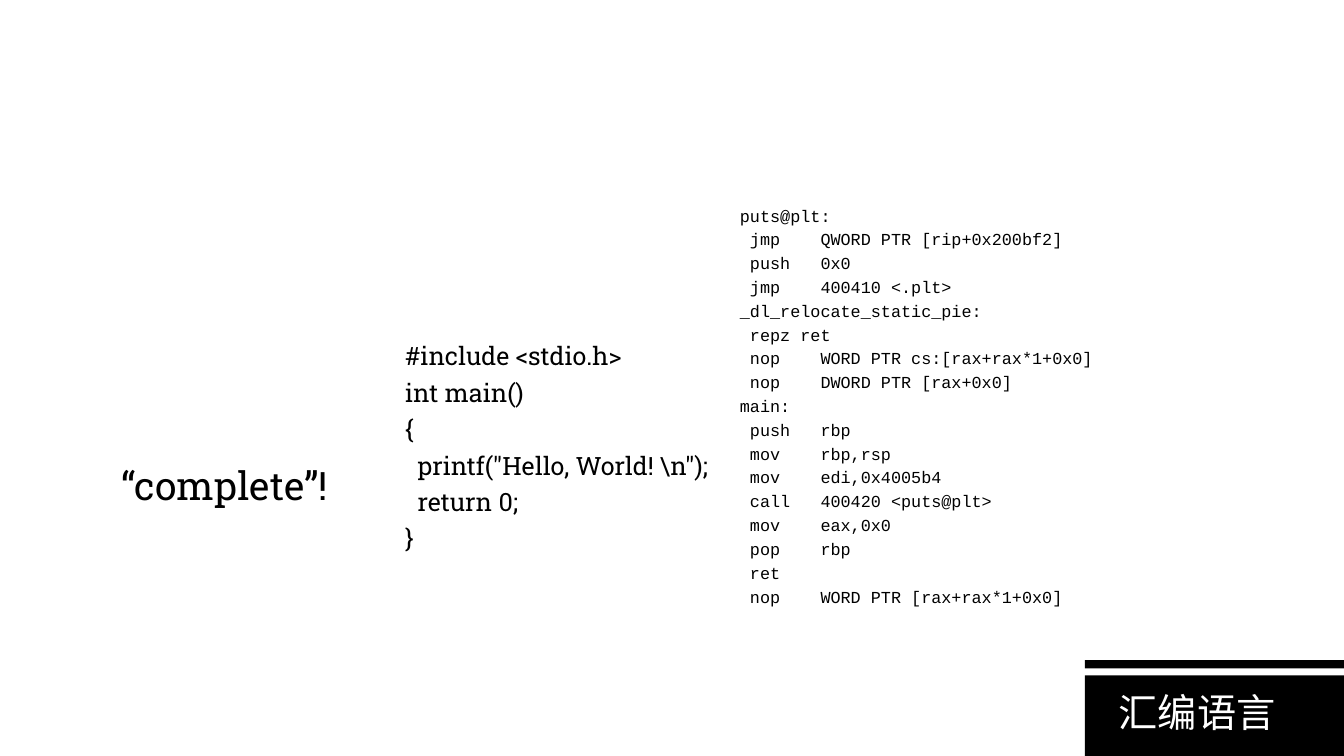
from dataclasses import dataclass

from pptx import Presentation
from pptx.dml.color import RGBColor
from pptx.enum.shapes import MSO_SHAPE
from pptx.enum.text import MSO_ANCHOR, MSO_AUTO_SIZE, PP_ALIGN
from pptx.shapes.base import BaseShape
from pptx.slide import Slide
from pptx.util import Emu, Length, Pt

RECTANGLE = MSO_SHAPE.RECTANGLE
TOP, MIDDLE = MSO_ANCHOR.TOP, MSO_ANCHOR.MIDDLE
LEFT, RIGHT = PP_ALIGN.LEFT, PP_ALIGN.RIGHT
NO_AUTOFIT = MSO_AUTO_SIZE.NONE
EMU_PER_PX = 9144
TITLE_ONLY = 5


@dataclass(frozen=True)
class Theme:
    ink: RGBColor = RGBColor(0, 0, 0)
    paper: RGBColor = RGBColor(255, 255, 255)
    text_font: str = "Roboto Slab"
    code_font: str = "Courier New"
    heading: Length = Pt(28)
    source: Length = Pt(18)
    assembly: Length = Pt(12)
    paragraph_gap: Length = Pt(10)


THEME = Theme()


@dataclass(frozen=True)
class Box:
    left: int
    top: int
    width: int
    height: int


@dataclass(frozen=True)
class TextBlock:
    box: Box
    text: str
    size: Length
    line_spacing: float | Length
    font: str = THEME.text_font
    color: RGBColor = THEME.ink
    alignment: PP_ALIGN = LEFT
    anchor: MSO_ANCHOR = TOP


C_SOURCE = r"""#include <stdio.h>
int main()
{
  printf("Hello, World! \n");
  return 0;
}"""

ASSEMBLY = """puts@plt:
 jmp    QWORD PTR [rip+0x200bf2]
 push   0x0
 jmp    400410 <.plt>
_dl_relocate_static_pie:
 repz ret
 nop    WORD PTR cs:[rax+rax*1+0x0]
 nop    DWORD PTR [rax+0x0]
main:
 push   rbp
 mov    rbp,rsp
 mov    edi,0x4005b4
 call   400420 <puts@plt>
 mov    eax,0x0
 pop    rbp
 ret
 nop    WORD PTR [rax+rax*1+0x0]"""

SLIDE = Box(0, 0, 1333, 750)
BARS = (Box(1076, 670, 257, 80), Box(1076, 655, 257, 8))
TITLE = TextBlock(Box(310, 684, 965, 50), "汇编语言", THEME.heading, 0.9,
                  color=THEME.paper, alignment=RIGHT, anchor=MIDDLE)
BLOCKS = (
    TextBlock(Box(111, 459, 965, 50), "“complete”!", THEME.heading, 0.9, anchor=MIDDLE),
    TextBlock(Box(392, 341, 321, 256), C_SOURCE, THEME.source, Pt(16)),
    TextBlock(Box(724, 209, 609, 417), ASSEMBLY, THEME.assembly, Pt(7), font=THEME.code_font),
)


def px(value: int) -> Emu:
    return Emu(value * EMU_PER_PX)


def apply(target: object, values: dict[str, object]) -> None:
    for name, value in values.items():
        setattr(target, name, value)


def place(shape: BaseShape, box: Box) -> None:
    apply(shape, {"left": px(box.left), "top": px(box.top),
                  "width": px(box.width), "height": px(box.height)})


def write_block(shape: BaseShape, block: TextBlock) -> None:
    place(shape, block.box)
    frame = shape.text_frame
    frame.text = block.text
    apply(frame, {"word_wrap": True, "auto_size": NO_AUTOFIT, "vertical_anchor": block.anchor})
    for index, paragraph in enumerate(frame.paragraphs):
        apply(paragraph, {"alignment": block.alignment, "line_spacing": block.line_spacing,
                          "space_before": THEME.paragraph_gap if index else Pt(0)})
        for run in paragraph.runs:
            apply(run.font, {"name": block.font, "size": block.size})
            run.font.color.rgb = block.color


def draw_bar(slide: Slide, box: Box) -> None:
    shape = slide.shapes.add_shape(RECTANGLE, 0, 0, 0, 0)
    place(shape, box)
    shape.shadow.inherit = False
    shape.fill.solid()
    shape.fill.fore_color.rgb = THEME.ink
    shape.line.fill.background()
    slide.shapes.title.element.addprevious(shape.element)


def main() -> None:
    presentation = Presentation()
    apply(presentation, {"slide_width": px(SLIDE.width), "slide_height": px(SLIDE.height)})
    slide = presentation.slides.add_slide(presentation.slide_layouts[TITLE_ONLY])
    slide.background.fill.solid()
    slide.background.fill.fore_color.rgb = THEME.paper
    for bar in BARS:
        draw_bar(slide, bar)
    write_block(slide.shapes.title, TITLE)
    for block in BLOCKS:
        write_block(slide.shapes.add_textbox(0, 0, 0, 0), block)
    presentation.save("out.pptx")


if __name__ == "__main__":
    main()
